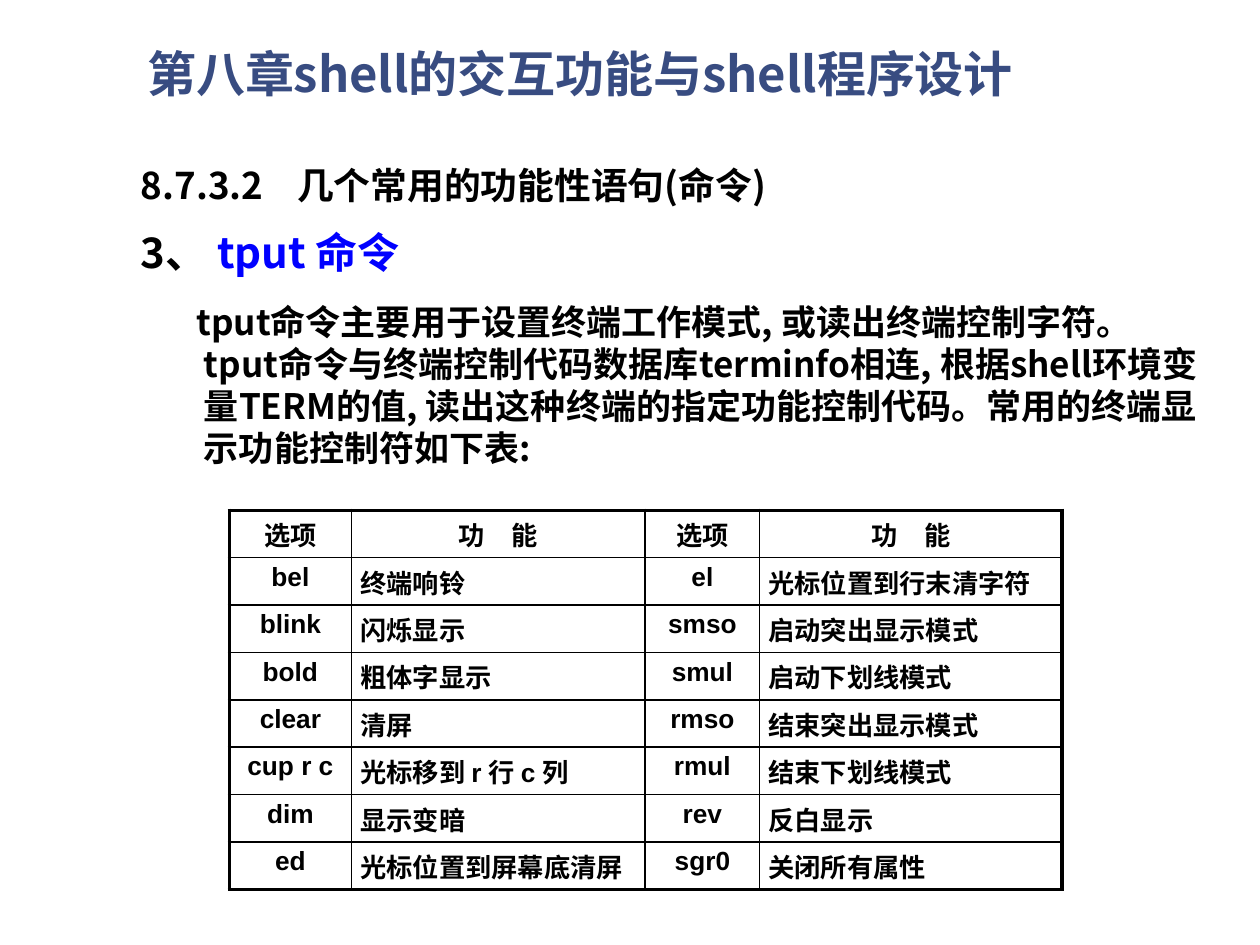
"""Build the slide that introduces the tput command and its options."""
from dataclasses import dataclass

from lxml.etree import SubElement
from pptx import Presentation
from pptx.dml.color import RGBColor
from pptx.enum.text import MSO_ANCHOR, PP_ALIGN
from pptx.oxml.ns import qn
from pptx.util import Inches, Pt


@dataclass(frozen=True)
class Theme:
    text_font: str = "Noto Sans CJK SC"
    table_font: str = "Arial"
    ink: str = "000000"
    title_color: str = "384C81"
    accent: str = "0000FF"
    title_size: float = 28
    section_size: float = 21
    heading_size: float = 24
    body_size: float = 20
    table_size: float = 15
    outer_line: float = 2.25
    inner_line: float = 1


class SlideBuilder:
    def __init__(self, slide, theme):
        self.slide = slide
        self.theme = theme

    def style(self, paragraph, size, color, font_name=None):
        font = paragraph.font
        font.name = font_name or self.theme.text_font
        font.size = Pt(size)
        font.bold = True
        font.color.rgb = RGBColor.from_string(color)
        properties = paragraph._p.get_or_add_pPr().find(qn("a:defRPr"))
        SubElement(properties, qn("a:ea"), typeface=self.theme.text_font)
        for run in paragraph.runs:
            run.font.name = font.name
            SubElement(run._r.get_or_add_rPr(), qn("a:ea"), typeface=self.theme.text_font)

    def text_box(self, left, top, width, height, inset_top=0.05):
        shape = self.slide.shapes.add_textbox(
            Inches(left), Inches(top), Inches(width), Inches(height))
        frame = shape.text_frame
        frame.word_wrap = True
        frame.margin_top, frame.margin_bottom = Inches(inset_top), 0
        return frame

    def title(self, text):
        frame = self.text_box(1.07, 0.37, 7.64, 0.48, inset_top=0)
        frame.vertical_anchor = MSO_ANCHOR.MIDDLE
        paragraph = frame.paragraphs[0]
        paragraph.text = text
        paragraph.line_spacing = 0.9
        self.style(paragraph, self.theme.title_size, self.theme.title_color)

    def section(self, number, text):
        paragraph = self.text_box(1.02, 1.24, 5.54, 0.45).paragraphs[0]
        paragraph.add_run().text = f"{number}\t{text}"
        tabs = SubElement(paragraph._p.get_or_add_pPr(), qn("a:tabLst"))
        SubElement(tabs, qn("a:tab"), pos=str(Inches(1.24)), algn="l")
        self.style(paragraph, self.theme.section_size, self.theme.ink)

    def body(self, number, command, description):
        frame = self.text_box(1.02, 1.75, 8.61, 4.59)
        heading, details = frame.paragraphs[0], frame.add_paragraph()
        heading.add_run().text = number
        command_run = heading.add_run()
        command_run.text = command
        command_run.font.color.rgb = RGBColor.from_string(self.theme.accent)
        details.add_run().text = description
        details.space_before = Pt(13.5)
        for paragraph, size, indent in ((heading, self.theme.heading_size, -0.5),
                                        (details, self.theme.body_size, -0.06)):
            properties = paragraph._p.get_or_add_pPr()
            properties.set("marL", str(Inches(0.5)))
            properties.set("indent", str(Inches(indent)))
            self.style(paragraph, size, self.theme.ink)

    def borders(self, cell, outer_sides):
        properties = cell._tc.get_or_add_tcPr()
        for side in "LRTB":
            width = self.theme.outer_line if side in outer_sides else self.theme.inner_line
            line = SubElement(properties, qn(f"a:ln{side}"), w=str(Pt(width)))
            fill = SubElement(line, qn("a:solidFill"))
            SubElement(fill, qn("a:srgbClr"), val=self.theme.ink)

    def table(self, rows, column_widths):
        row_count, column_count = len(rows), len(column_widths)
        shape = self.slide.shapes.add_table(
            row_count, column_count, Inches(1.82), Inches(4.05), Inches(6.61), Inches(3.01))
        table = shape.table
        for column, width in zip(table.columns, column_widths):
            column.width = Inches(width)
        for row_index, values in enumerate(rows):
            for column_index, value in enumerate(values):
                cell = table.cell(row_index, column_index)
                edges = {"L": column_index == 0, "R": column_index == column_count - 1,
                         "T": row_index == 0, "B": row_index == row_count - 1}
                self.borders(cell, [side for side, outer in edges.items() if outer])
                cell.fill.background()
                cell.margin_left = cell.margin_right = Inches(0.07)
                cell.margin_top = cell.margin_bottom = Inches(0.04)
                paragraph = cell.text_frame.paragraphs[0]
                paragraph.text = value
                centered = row_index == 0 or column_index % 2 == 0
                paragraph.alignment = PP_ALIGN.CENTER if centered else PP_ALIGN.LEFT
                self.style(paragraph, self.theme.table_size, self.theme.ink,
                           self.theme.table_font)


def main():
    presentation = Presentation()
    presentation.slide_width, presentation.slide_height = Inches(10), Inches(7.5)
    slide = presentation.slides.add_slide(presentation.slide_layouts[6])
    builder = SlideBuilder(slide, Theme())
    builder.body(
        "3、 ", "tput 命令",
        "tput命令主要用于设置终端工作模式, 或读出终端控制字符。 "
        "tput命令与终端控制代码数据库terminfo相连, 根据shell环境变量TERM的值, "
        "读出这种终端的指定功能控制代码。常用的终端显示功能控制符如下表:")
    builder.table([
        ("选项", "功　能", "选项", "功　能"),
        ("bel", "终端响铃", "el", "光标位置到行末清字符"),
        ("blink", "闪烁显示", "smso", "启动突出显示模式"),
        ("bold", "粗体字显示", "smul", "启动下划线模式"),
        ("clear", "清屏", "rmso", "结束突出显示模式"),
        ("cup r c", "光标移到 r 行 c 列", "rmul", "结束下划线模式"),
        ("dim", "显示变暗", "rev", "反白显示"),
        ("ed", "光标位置到屏幕底清屏", "sgr0", "关闭所有属性"),
    ], (0.97, 2.33, 0.91, 2.4))
    builder.section("8.7.3.2", "几个常用的功能性语句(命令)")
    builder.title("第八章shell的交互功能与shell程序设计")
    presentation.save("out.pptx")


if __name__ == "__main__":
    main()
